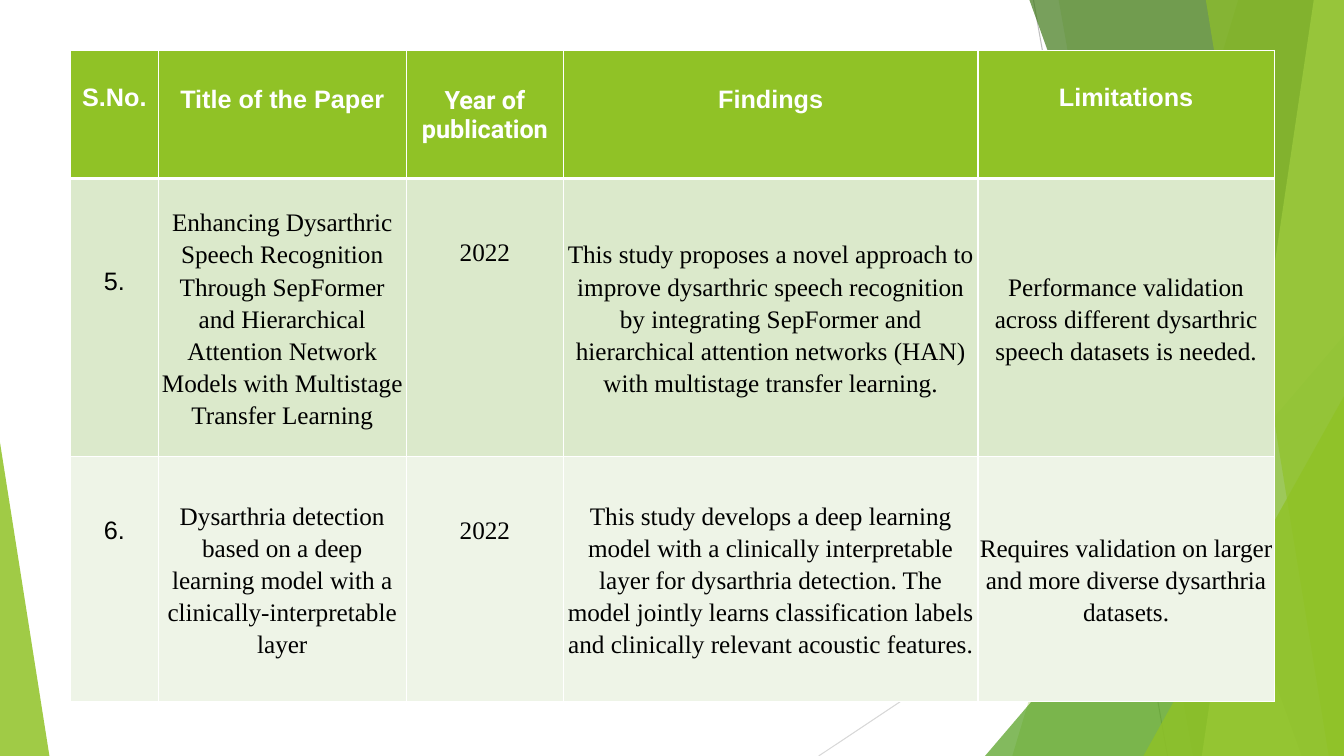
from dataclasses import dataclass

from lxml import etree
from pptx import Presentation
from pptx.dml.color import RGBColor
from pptx.enum.shapes import MSO_CONNECTOR, MSO_SHAPE
from pptx.enum.text import MSO_ANCHOR, PP_ALIGN
from pptx.oxml.ns import qn
from pptx.util import Inches, Pt

CENTER = PP_ALIGN.CENTER
TOP, MIDDLE = MSO_ANCHOR.TOP, MSO_ANCHOR.MIDDLE
STRAIGHT = MSO_CONNECTOR.STRAIGHT
TRIANGLE = MSO_SHAPE.ISOSCELES_TRIANGLE
W, H = 13.33, 7.5


@dataclass(frozen=True)
class Theme:
    lime: str = "90C226"
    green: str = "54A021"
    forest: str = "3F7818"
    pale_lime: str = "BFE471"
    white: str = "FFFFFF"
    black: str = "000000"
    bands: tuple[str, ...] = ("DBE9CB", "EEF4E7")
    sans: str = "Arial"
    roboto: str = "Roboto"
    serif: str = "Times New Roman"
    size: int = 18


T = Theme()


@dataclass(frozen=True)
class Ray:
    start: tuple[float, float]
    end: tuple[float, float]
    color: str


@dataclass(frozen=True)
class Facet:
    """A band reaching the right edge, from its top x to its bottom x."""
    top: float
    bottom: float
    color: str
    alpha: int


@dataclass(frozen=True)
class Corner:
    """A triangle standing on the bottom edge."""
    left: float
    top: float
    width: float
    apex: float
    color: str
    alpha: int


@dataclass(frozen=True)
class Entry:
    """A table cell; without a drop the text is centred vertically."""
    text: str
    font: str = T.serif
    drop: float | None = None


DECOR = [
    Ray((10.25, 0), (11.58, H), "BFBFBF"),
    Ray((W, 4.03), (8.12, H), "D8D8D8"),
    Facet(12.28, 10.04, T.lime, 30),
    Facet(10.5, 11.83, T.lime, 20),
    Corner(9.77, 3.33, 3.56, 1, T.green, 72),
    Facet(10.21, 12.91, T.forest, 70),
    Facet(13.03, 11.92, T.pale_lime, 70),
    Facet(11.96, 13.18, T.lime, 65),
    Corner(11.34, 3.93, 1.99, 1, T.lime, 80),
    Corner(0, 4.39, 0.49, 0, T.lime, 85),
]

COLS = [0.87, 2.46, 1.56, 4.11, 2.94]
ROWS = [1.27, 2.76, 2.43]
PAPERS = [
    [Entry("S.No.", T.sans, 0.33),
     Entry("Title of the Paper", T.sans, 0.35),
     Entry("Year of publication", T.roboto, 0.35),
     Entry("Findings", T.sans, 0.35),
     Entry("Limitations", T.sans, 0.33)],
    [Entry("5.", T.sans, 0.89),
     Entry("Enhancing Dysarthric Speech Recognition Through SepFormer and Hierarchical "
           "Attention Network Models with Multistage Transfer Learning"),
     Entry("2022", drop=0.6),
     Entry("This study proposes a novel approach to improve dysarthric speech recognition "
           "by integrating SepFormer and hierarchical attention networks (HAN) with "
           "multistage transfer learning."),
     Entry("Performance validation across different dysarthric speech datasets is needed.")],
    [Entry("6.", T.sans, 0.6),
     Entry("Dysarthria detection based on a deep learning model with a "
           "clinically-interpretable layer"),
     Entry("2022", drop=0.6),
     Entry("This study develops a deep learning model with a clinically interpretable layer "
           "for dysarthria detection. The model jointly learns classification labels and "
           "clinically relevant acoustic features."),
     Entry("Requires validation on larger and more diverse dysarthria datasets.")],
]


def rgb(color: str) -> RGBColor:
    return RGBColor.from_string(color)


def set_all(target, values: dict) -> None:
    for name, value in values.items():
        setattr(target, name, value)


def paint(shape, color: str, alpha: int) -> None:
    shape.shadow.inherit = False
    shape.line.fill.background()
    shape.fill.solid()
    shape.fill.fore_color.rgb = rgb(color)
    clr = shape.fill._xPr.find(qn("a:solidFill"))[0]
    etree.SubElement(clr, qn("a:alpha"), val=str(alpha * 1000))


def draw_ray(s, ray: Ray) -> None:
    ends = [Inches(v) for v in ray.start + ray.end]
    line = s.shapes.add_connector(STRAIGHT, *ends)
    line.line.width = Pt(0.75)
    line.line.color.rgb = rgb(ray.color)
    etree.SubElement(line._element.spPr, qn("a:effectLst"))


def draw_facet(s, facet: Facet) -> None:
    corners = [(W, 0), (W, H), (facet.bottom, H)]
    outline = s.shapes.build_freeform(Inches(facet.top), 0)
    outline.add_line_segments([(Inches(x), Inches(y)) for x, y in corners])
    paint(outline.convert_to_shape(), facet.color, facet.alpha)


def draw_corner(s, corner: Corner) -> None:
    shape = s.shapes.add_shape(TRIANGLE, Inches(corner.left), Inches(corner.top),
                               Inches(corner.width), Inches(H - corner.top))
    shape.adjustments[0] = corner.apex
    paint(shape, corner.color, corner.alpha)


def set_borders(cell, top: int, bottom: int) -> None:
    tc_pr = cell._tc.get_or_add_tcPr()
    for side, width in {"L": 1, "R": 1, "T": top, "B": bottom}.items():
        ln = etree.SubElement(tc_pr, qn(f"a:ln{side}"), w=str(Pt(width)))
        fill = etree.SubElement(ln, qn("a:solidFill"))
        etree.SubElement(fill, qn("a:srgbClr"), val=T.white)


def fill_cell(cell, entry: Entry, row: int) -> None:
    header = row == 0
    set_borders(cell, 3 if row == 1 else 1, 3 if header else 1)
    cell.fill.solid()
    cell.fill.fore_color.rgb = rgb(T.lime if header else T.bands[row - 1])

    centred = entry.drop is None
    side, edge = (0.01, 0.01) if centred else (0.1, 0.05)
    set_all(cell, {"margin_left": Inches(side), "margin_right": Inches(side),
                   "margin_top": Inches(edge if centred else entry.drop),
                   "margin_bottom": Inches(edge),
                   "vertical_anchor": MIDDLE if centred else TOP})
    p = cell.text_frame.paragraphs[0]
    set_all(p, {"alignment": CENTER, "line_spacing": 1.15 if centred else 1.0})
    r = p.add_run()
    r.text = entry.text
    set_all(r.font, {"name": entry.font, "size": Pt(T.size), "bold": header})
    r.font.color.rgb = rgb(T.white if header else T.black)


def draw_table(s) -> None:
    table = s.shapes.add_table(len(ROWS), len(COLS), Inches(0.7), Inches(0.5),
                               Inches(sum(COLS)), Inches(sum(ROWS))).table
    for column, width in zip(table.columns, COLS):
        column.width = Inches(width)
    for i, (height, entries) in enumerate(zip(ROWS, PAPERS)):
        table.rows[i].height = Inches(height)
        for j, entry in enumerate(entries):
            fill_cell(table.cell(i, j), entry, i)


def main() -> None:
    prs = Presentation()
    set_all(prs, {"slide_width": Inches(W), "slide_height": Inches(H)})
    s = prs.slides.add_slide(prs.slide_layouts[6])

    # Faceted backdrop, back to front
    draw = {Ray: draw_ray, Facet: draw_facet, Corner: draw_corner}
    for part in DECOR:
        draw[type(part)](s, part)

    # Literature table
    draw_table(s)
    prs.save("out.pptx")


if __name__ == "__main__":
    main()
